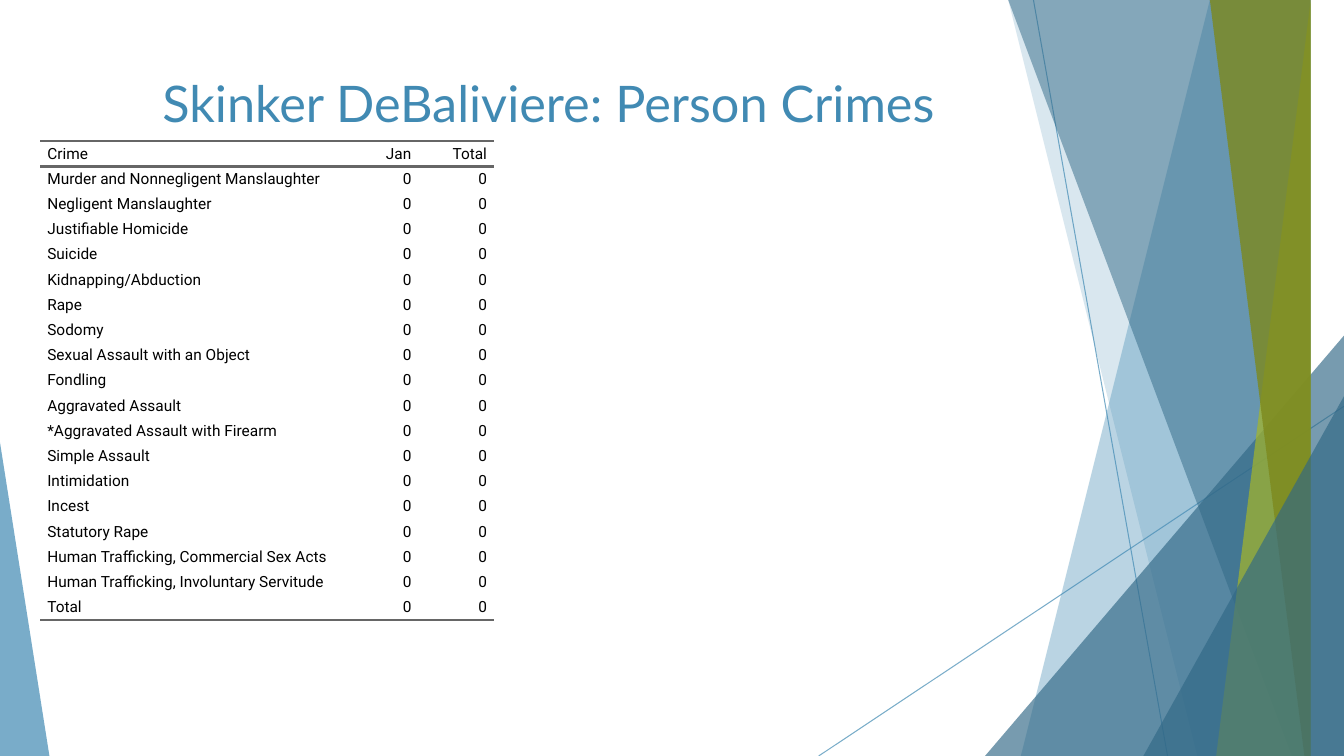
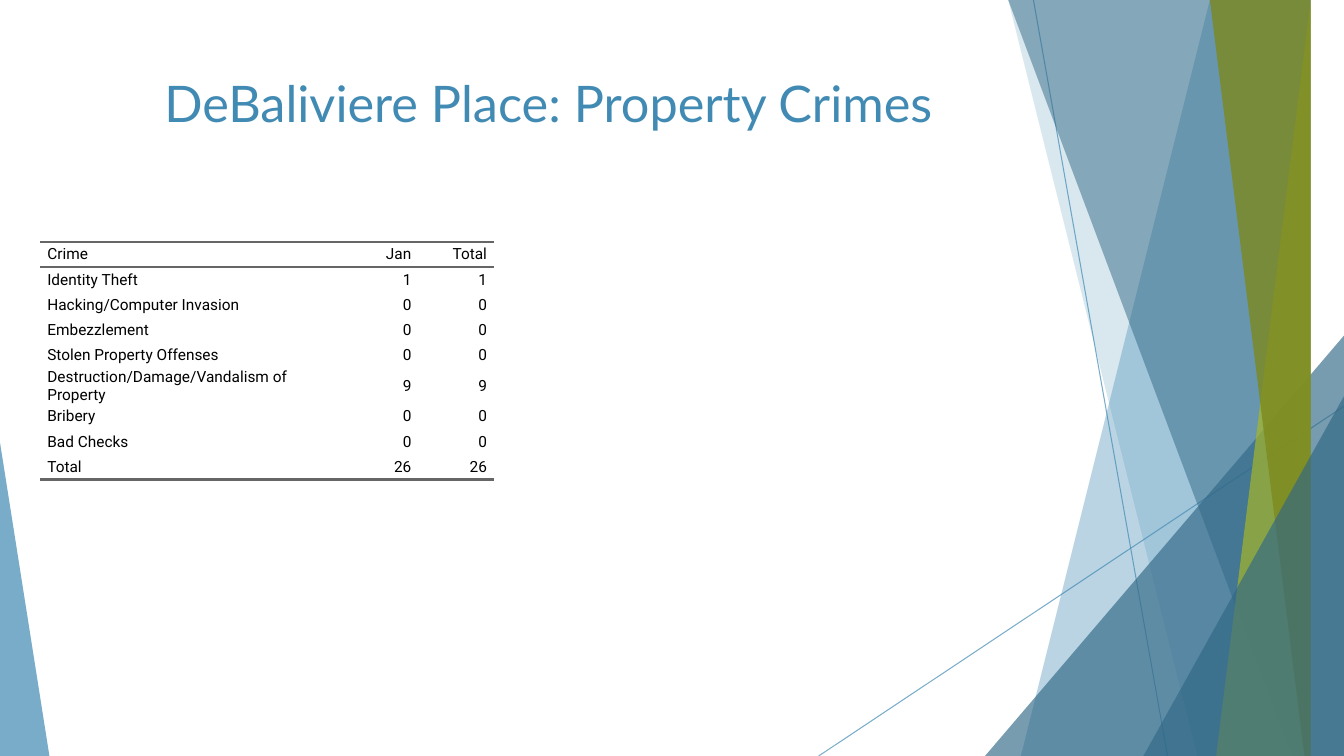
"""Two crime tables on a shared backdrop of overlapping facets."""
from lxml import etree
from pptx import Presentation
from pptx.dml.color import RGBColor
from pptx.enum.shapes import MSO_CONNECTOR, MSO_SHAPE
from pptx.enum.text import MSO_ANCHOR, PP_ALIGN
from pptx.oxml.ns import qn
from pptx.util import Inches, Pt

LINE = MSO_CONNECTOR.STRAIGHT
WEDGE = MSO_SHAPE.ISOSCELES_TRIANGLE
MIDDLE, TOP = MSO_ANCHOR.MIDDLE, MSO_ANCHOR.TOP
LEFT, CENTER, RIGHT = PP_ALIGN.LEFT, PP_ALIGN.CENTER, PP_ALIGN.RIGHT

BLUE = RGBColor(0x41, 0x8A, 0xB3)
NAVY = RGBColor(0x31, 0x68, 0x86)
LIME = RGBColor(0xA6, 0xB7, 0x27)
OLIVE = RGBColor(0x7D, 0x89, 0x1D)
GRAY = RGBColor(0x66, 0x66, 0x66)
BLACK = RGBColor(0, 0, 0)
NO_STYLE = "{2D5ABB26-0587-4C30-8999-92F81FD0307C}"
WIDE, HIGH = 13.33, 7.5

RAYS = [(10.25, 0, 11.58, HIGH), (WIDE, 4.03, 8.12, HIGH)]
FACETS = [
    ("band", 12.28, 10.04, BLUE, 36),
    ("band", 10.5, 11.83, BLUE, 20),
    ("wedge", 9.77, 3.33, 3.56, 1, NAVY, 66),
    ("band", 10.21, 12.91, NAVY, 50),
    ("band", 13.03, 11.92, LIME, 70),
    ("band", 11.96, 13.18, OLIVE, 80),
    ("wedge", 11.34, 3.93, 1.99, 1, NAVY, 66),
    ("wedge", 0, 4.39, 0.49, 0, BLUE, 70),
]
PAGES = [
    ("Skinker DeBaliviere: Person Crimes", 1.4, [
        ("Murder and Nonnegligent Manslaughter", 0),
        ("Negligent Manslaughter", 0),
        ("Justifiable Homicide", 0),
        ("Suicide", 0),
        ("Kidnapping/Abduction", 0),
        ("Rape", 0),
        ("Sodomy", 0),
        ("Sexual Assault with an Object", 0),
        ("Fondling", 0),
        ("Aggravated Assault", 0),
        ("*Aggravated Assault with Firearm", 0),
        ("Simple Assault", 0),
        ("Intimidation", 0),
        ("Incest", 0),
        ("Statutory Rape", 0),
        ("Human Trafficking, Commercial Sex Acts", 0),
        ("Human Trafficking, Involuntary Servitude", 0),
        ("Total", 0),
    ]),
    ("DeBaliviere Place: Property Crimes", 2.4, [
        ("Identity Theft", 1),
        ("Hacking/Computer Invasion", 0),
        ("Embezzlement", 0),
        ("Stolen Property Offenses", 0),
        ("Destruction/Damage/Vandalism of Property", 9),
        ("Bribery", 0),
        ("Bad Checks", 0),
        ("Total", 26),
    ]),
]


def fade(shape, percent):
    """Set the opacity of the one colour the shape has."""
    for color in shape.element.spPr.iter(qn("a:srgbClr")):
        etree.SubElement(color, qn("a:alpha"), val=str(percent * 1000))


def rule(cell, side):
    """Draw a gray border on one side of a cell."""
    edge = etree.Element(qn("a:" + side), w=str(Pt(2)))
    fill = etree.SubElement(edge, qn("a:solidFill"))
    etree.SubElement(fill, qn("a:srgbClr"), val=str(GRAY))
    cell._tc.get_or_add_tcPr().insert(0, edge)


deck = Presentation()
deck.slide_width, deck.slide_height = Inches(WIDE), Inches(HIGH)
blank = deck.slide_layouts[6]
for holder in list(blank.placeholders):
    blank.shapes.element.remove(holder.element)
slides = [deck.slides.add_slide(blank) for page in PAGES]

shapes = slides[0].shapes
for ray in RAYS:
    line = shapes.add_connector(LINE, *[Inches(v) for v in ray])
    line.line.color.rgb = BLUE
    line.line.width = Pt(0.75)
    fade(line, 70)
    etree.SubElement(line.element.spPr, qn("a:effectLst"))

for kind, *place, color, alpha in FACETS:
    if kind == "band":
        top, foot = place
        path = shapes.build_freeform(top, -0.01, scale=Inches(1))
        path.add_line_segments([(WIDE, -0.01), (WIDE, HIGH), (foot, HIGH)])
        facet = path.convert_to_shape()
    else:
        x, y, width, peak = place
        facet = shapes.add_shape(
            WEDGE, Inches(x), Inches(y), Inches(width), Inches(HIGH - y))
        facet.adjustments[0] = peak
    facet.shadow.inherit = False
    facet.fill.solid()
    facet.fill.fore_color.rgb = color
    facet.line.fill.background()
    fade(facet, alpha)

for shape in list(shapes):
    blank.shapes.element.append(shape.element)

for slide, (title, y, crimes) in zip(slides, PAGES):
    rows = [("Crime", "Jan", "Total")] + [(name, n, n) for name, n in crimes]
    frame = slide.shapes.add_table(
        len(rows), 3, Inches(0.4), Inches(y), Inches(4.5), Inches(0.25 * len(rows)))
    for style in frame.element.iter(qn("a:tableStyleId")):
        style.text = NO_STYLE
    table = frame.table
    table.first_row = table.horz_banding = False
    for col, width in zip(table.columns, (3, 0.75, 0.75)):
        col.width = Inches(width)
    for r, row in enumerate(rows):
        table.rows[r].height = Inches(0.25)
        for c, value in enumerate(row):
            cell = table.cell(r, c)
            cell.text = str(value)
            cell.fill.background()
            cell.vertical_anchor = MIDDLE
            cell.margin_left = cell.margin_right = 0
            cell.margin_top = cell.margin_bottom = 0
            if r in (0, len(rows) - 1):
                rule(cell, "lnB")
            if r == 0:
                rule(cell, "lnT")
            para = cell.text_frame.paragraphs[0]
            para.alignment = RIGHT if c else LEFT
            para.space_before = para.space_after = Pt(5)
            props = para._p.get_or_add_pPr()
            for side in ("marL", "marR"):
                props.set(side, str(Pt(5)))
            para.font.name = "Roboto"
            para.font.size = Pt(11)
            para.font.color.rgb = BLACK

    box = slide.shapes.add_textbox(
        Inches(0.74), Inches(0.67), Inches(9.4), Inches(1.44))
    box.text_frame.word_wrap = True
    box.text_frame.vertical_anchor = TOP
    para = box.text_frame.paragraphs[0]
    para.text = title
    para.alignment = CENTER
    para.font.name = "Lato"
    para.font.size = Pt(36)
    para.font.color.rgb = BLUE

deck.save("out.pptx")
